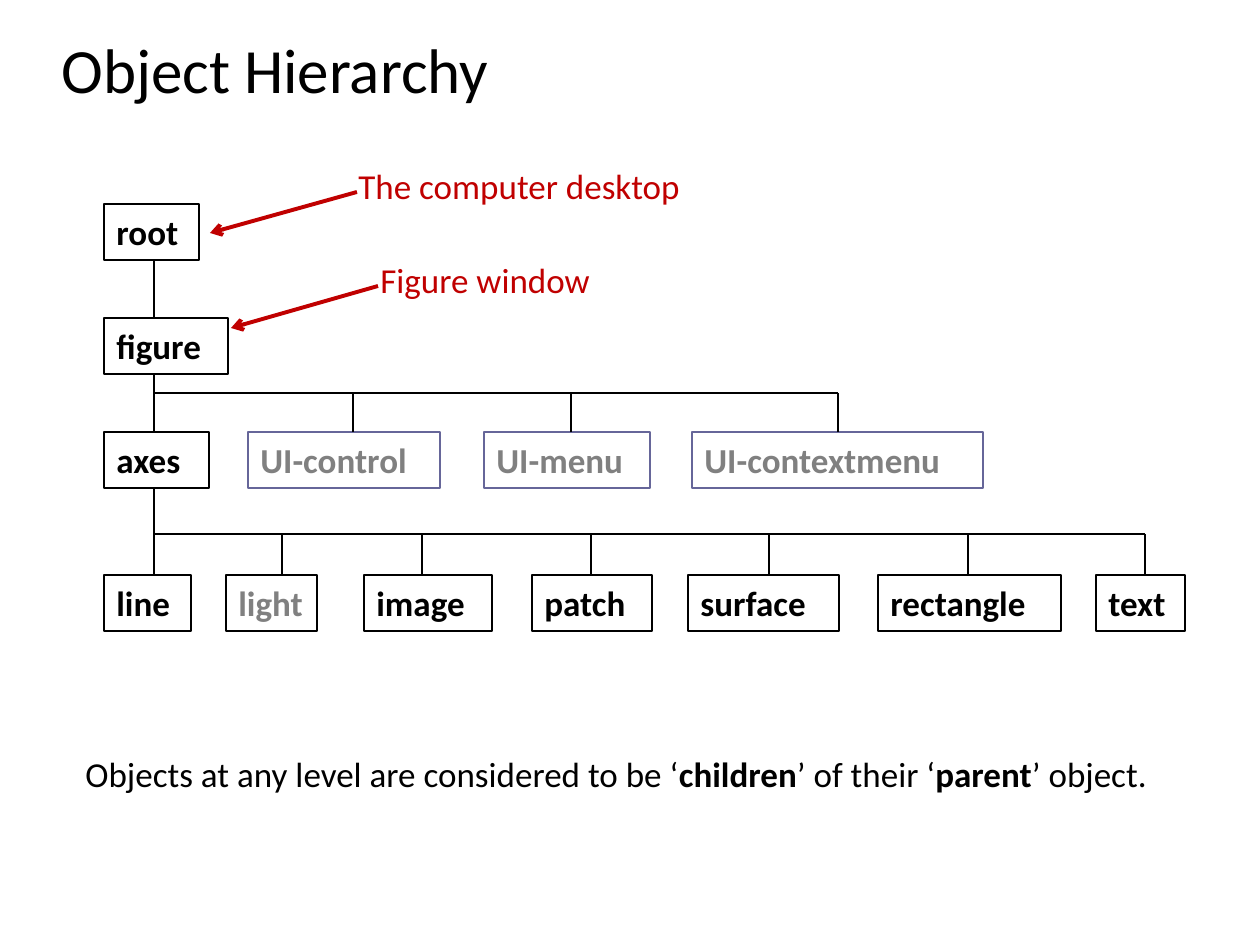
from lxml import etree
from pptx import Presentation
from pptx.dml.color import RGBColor
from pptx.enum.shapes import MSO_CONNECTOR, MSO_SHAPE
from pptx.enum.text import MSO_ANCHOR, PP_ALIGN
from pptx.oxml.ns import qn
from pptx.util import Emu, Pt

BLACK, GRAY, SLATE, RED = "000000", "808080", "666699", "C00000"
BOX_H = 56


def px(n):
    return Emu(round(n * 914400 / 126))


def rgb(value):
    return RGBColor.from_string(value)


class Canvas:
    font = "Calibri"
    size = 20

    def __init__(self, slide):
        self.s = slide

    def set_text(self, tf, runs, color, size=None, bold=None, anchor=MSO_ANCHOR.TOP):
        tf.word_wrap = True
        tf.vertical_anchor = anchor
        p = tf.paragraphs[0]
        p.alignment = PP_ALIGN.LEFT
        p.font.name = self.font
        p.font.size = Pt(size or self.size)
        p.font.color.rgb = rgb(color)
        p.font.bold = bold
        for text, strong in runs:
            r = p.add_run()
            r.text = text
            if strong:
                r.font.bold = True

    def text(self, x, y, w, h, runs, color=BLACK, size=None, anchor=MSO_ANCHOR.TOP):
        sp = self.s.shapes.add_textbox(px(x), px(y), px(w), px(h))
        self.set_text(sp.text_frame, runs, color, size, anchor=anchor)

    def box(self, x, y, w, label, color=BLACK, border=BLACK):
        sp = self.s.shapes.add_shape(
            MSO_SHAPE.RECTANGLE, px(x), px(y), px(w), px(BOX_H))
        sp.shadow.inherit = False
        sp.fill.background()
        sp.line.color.rgb = rgb(border)
        sp.line.width = Pt(0.75)
        self.set_text(sp.text_frame, [(label, False)], color, bold=True)

    def line(self, x1, y1, x2, y2, color=BLACK, width=0.75):
        cn = self.s.shapes.add_connector(
            MSO_CONNECTOR.STRAIGHT, px(x1), px(y1), px(x2), px(y2))
        cn.line.color.rgb = rgb(color)
        cn.line.width = Pt(width)
        etree.SubElement(cn._element.spPr, qn("a:effectLst"))
        return cn

    def arrow(self, x1, y1, x2, y2, color):
        cn = self.line(x1, y1, x2, y2, color, 2.25)
        ln = cn._element.spPr.find(qn("a:ln"))
        etree.SubElement(ln, qn("a:tailEnd"), type="arrow")


def main():
    prs = Presentation()
    prs.slide_width, prs.slide_height = px(1260), px(945)
    c = Canvas(prs.slides.add_slide(prs.slide_layouts[6]))

    root_y, figure_y, axes_y, leaf_y = 204, 318, 432, 575
    trunk_x, ui_bus_y, leaf_bus_y = 154, 393, 534

    for label, y, w in [("root", root_y, 95), ("figure", figure_y, 124),
                        ("axes", axes_y, 105)]:
        c.box(104, y, w, label)
    for label, x, w in [("UI-control", 248, 192), ("UI-menu", 484, 166),
                        ("UI-contextmenu", 692, 291)]:
        c.box(x, axes_y, w, label, GRAY, SLATE)
    for label, x, w, color in [
            ("line", 104, 87, BLACK), ("light", 226, 91, GRAY),
            ("image", 364, 128, BLACK), ("patch", 532, 120, BLACK),
            ("surface", 688, 151, BLACK), ("rectangle", 878, 183, BLACK),
            ("text", 1096, 89, BLACK)]:
        c.box(x, leaf_y, w, label, color)

    for top, bottom in [(root_y + BOX_H, figure_y), (figure_y + BOX_H, axes_y),
                        (axes_y + BOX_H, leaf_bus_y)]:
        c.line(trunk_x, top, trunk_x, bottom)
    for bus_y, child_y, drops in [
            (ui_bus_y, axes_y, [353, 571, 838]),
            (leaf_bus_y, leaf_y, [trunk_x, 282, 422, 591, 769, 968, 1145])]:
        c.line(trunk_x, bus_y, drops[-1], bus_y)
        for x in drops:
            c.line(x, bus_y, x, child_y)

    c.text(49, 29, 1162, 79, [("Object Hierarchy", False)], size=36,
           anchor=MSO_ANCHOR.MIDDLE)
    for label, x, y, w, ends in [
            ("The computer desktop", 346, 158, 350, (357, 192, 210, 233)),
            ("Figure window", 368, 252, 237, (378, 286, 231, 328))]:
        c.text(x, y, w, BOX_H, [(label, False)], RED)
        c.arrow(*ends, RED)
    c.text(73, 746, 1091, BOX_H, [
        ("Objects at any level are considered to be ‘", False),
        ("children", True), ("’ of their ‘", False),
        ("parent", True), ("’ object.", False)])

    prs.save("out.pptx")


if __name__ == "__main__":
    main()
